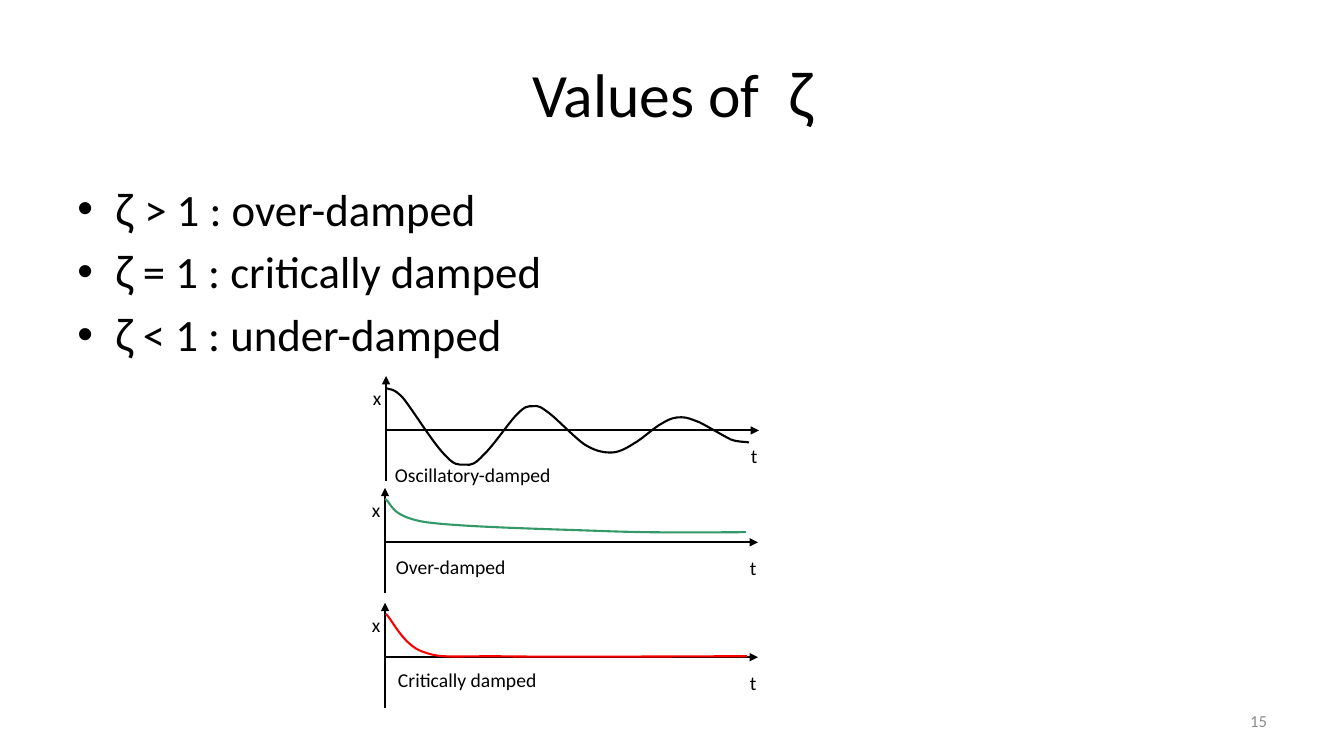
from lxml.etree import SubElement
from pptx import Presentation
from pptx.dml.color import RGBColor
from pptx.enum.shapes import MSO_CONNECTOR
from pptx.enum.text import MSO_ANCHOR, MSO_AUTO_SIZE, PP_ALIGN
from pptx.oxml.ns import qn
from pptx.util import Pt

PX = 9144  # 100 px to the inch
COLORS = {"ink": "000000", "number": "8C8C8C", "over": "339966", "critical": "FF0000"}

# Curves: a start point, then Bezier segments (two controls and an end),
# in px from the crossing of the plot's axes
OSCILLATORY = [
    (0, -42),
    (3, -40, 7, -43, 17, -32), (26, -21, 47, 13, 58, 24),
    (68, 35, 71, 34, 78, 34), (85, 35, 89, 33, 97, 24),
    (106, 16, 122, -8, 130, -16), (138, -24, 140, -24, 146, -24),
    (151, -25, 154, -23, 162, -17), (171, -10, 187, 7, 197, 14),
    (207, 20, 214, 22, 223, 22), (231, 22, 238, 18, 246, 13),
    (255, 8, 266, -3, 274, -7), (282, -12, 287, -13, 293, -13),
    (299, -13, 303, -11, 311, -8), (319, -4, 334, 5, 342, 9),
    (350, 12, 356, 11, 360, 12),
]
OVER = [
    (0, -43),
    (7, -39, 4, -26, 40, -20), (76, -15, 166, -13, 219, -11),
    (272, -9, 335, -10, 358, -10),
]
CRITICAL = [
    (1, -43),
    (7, -37, 18, -13, 36, -6), (55, 1, 58, -1, 111, -1),
    (165, 0, 308, -1, 359, -1),
]

# Axis crossing, curve, colour, caption, caption box relative to the crossing
PLOTS = [
    ((383, 427), OSCILLATORY, "ink", "Oscillatory-damped", (-1, 27, 177, 34)),
    ((382, 538), OVER, "over", "Over-damped", (1, 8, 130, 34)),
    ((382, 652), CRITICAL, "critical", "Critically damped", (3, 6, 159, 34)),
]


def px(*lengths):
    return [length * PX for length in lengths]


def rgb(name):
    return RGBColor.from_string(COLORS[name])


def add_run(p, text, size=14, font="Calibri", color="ink"):
    r = p.add_run()
    r.text = text
    r.font.size = Pt(size)
    r.font.name = font
    r.font.color.rgb = rgb(color)
    if font == "Lato":  # Greek letters need the font for every script
        for tag in ("a:ea", "a:cs"):
            SubElement(r.font._element, qn(tag)).set("typeface", font)


def add_label(slide, box, text, **fmt):
    tf = slide.shapes.add_textbox(*px(*box)).text_frame
    tf.word_wrap = False
    tf.auto_size = MSO_AUTO_SIZE.SHAPE_TO_FIT_TEXT
    add_run(tf.paragraphs[0], text, **fmt)


def add_title(slide, box):
    sp = slide.shapes.title
    sp.left, sp.top, sp.width, sp.height = px(*box)
    tf = sp.text_frame
    tf.auto_size = MSO_AUTO_SIZE.NONE
    tf.vertical_anchor = MSO_ANCHOR.MIDDLE
    p = tf.paragraphs[0]
    p.alignment = PP_ALIGN.CENTER
    add_run(p, "Values of  ", size=44)
    add_run(p, "ζ", size=44, font="Lato")


def add_bullets(slide, box):
    tf = slide.shapes.add_textbox(*px(*box)).text_frame
    tf.word_wrap = True
    items = [("ζ ", "> 1 : over-damped"), ("ζ", " = 1 : critically damped"),
             ("ζ", " < 1 : under-damped")]
    for i, (symbol, meaning) in enumerate(items):
        p = tf.add_paragraph() if i else tf.paragraphs[0]
        p.space_before = Pt(6.4)
        add_run(p, symbol, size=32, font="Lato")
        add_run(p, meaning, size=32)
        pPr = p._p.get_or_add_pPr()
        indent = Pt(27)
        pPr.set("marL", str(int(indent)))
        pPr.set("indent", str(-int(indent)))
        SubElement(pPr, qn("a:buFont")).set("typeface", "Arial")
        SubElement(pPr, qn("a:buChar")).set("char", "•")


def add_axis(slide, x1, y1, x2, y2):
    c = slide.shapes.add_connector(MSO_CONNECTOR.STRAIGHT, *px(x1, y1, x2, y2))
    c.line.color.rgb = rgb("ink")
    c.line.width = Pt(1.5)
    SubElement(c.line._get_or_add_ln(), qn("a:tailEnd")).set("type", "triangle")
    SubElement(c._element.spPr, qn("a:effectLst"))


def add_curve(slide, x, y, curve, color):
    ends = [px(x + segment[-2], y + segment[-1]) for segment in curve]
    builder = slide.shapes.build_freeform(*ends[0])
    builder.add_line_segments(ends[1:], close=False)
    sp = builder.convert_to_shape()
    # Bend each straight segment into a Bezier one
    lines = list(sp._element.iter(qn("a:lnTo")))
    for line, segment in zip(lines, curve[1:]):
        line.tag = qn("a:cubicBezTo")
        line.remove(line[0])
        for dx, dy in zip(segment[::2], segment[1::2]):
            pt = SubElement(line, qn("a:pt"))
            pt.set("x", str((x + dx) * PX - sp.left))
            pt.set("y", str((y + dy) * PX - sp.top))
    sp.shadow.inherit = False
    sp.fill.background()
    sp.line.color.rgb = rgb(color)
    sp.line.width = Pt(1.5)


def add_plot(slide, crossing, curve, color, caption, caption_box):
    x, y = crossing
    add_axis(slide, x, y, x + 370, y)
    add_axis(slide, x, y + 50, x, y - 54)
    add_label(slide, (x + 352, y + 9, 27, 34), "t")
    add_label(slide, (x - 23, y - 49, 30, 33), "x")
    add_curve(slide, x, y, curve, color)
    dx, dy, w, h = caption_box
    add_label(slide, (x + dx, y + dy, w, h), caption)


def add_page_number(slide, box):
    tf = slide.shapes.add_textbox(*px(*box)).text_frame
    tf.word_wrap = True
    tf.vertical_anchor = MSO_ANCHOR.MIDDLE
    p = tf.paragraphs[0]
    p.alignment = PP_ALIGN.RIGHT
    add_run(p, "15", size=12, color="number")


def main():
    prs = Presentation()
    prs.slide_width, prs.slide_height = Pt(960), Pt(540)
    slide = prs.slides.add_slide(prs.slide_layouts[5])
    add_page_number(slide, (956, 695, 311, 40))
    add_title(slide, (67, 30, 1200, 125))
    add_bullets(slide, (67, 175, 1200, 495))
    for plot in PLOTS:
        add_plot(slide, *plot)
    prs.save("out.pptx")


if __name__ == "__main__":
    main()
